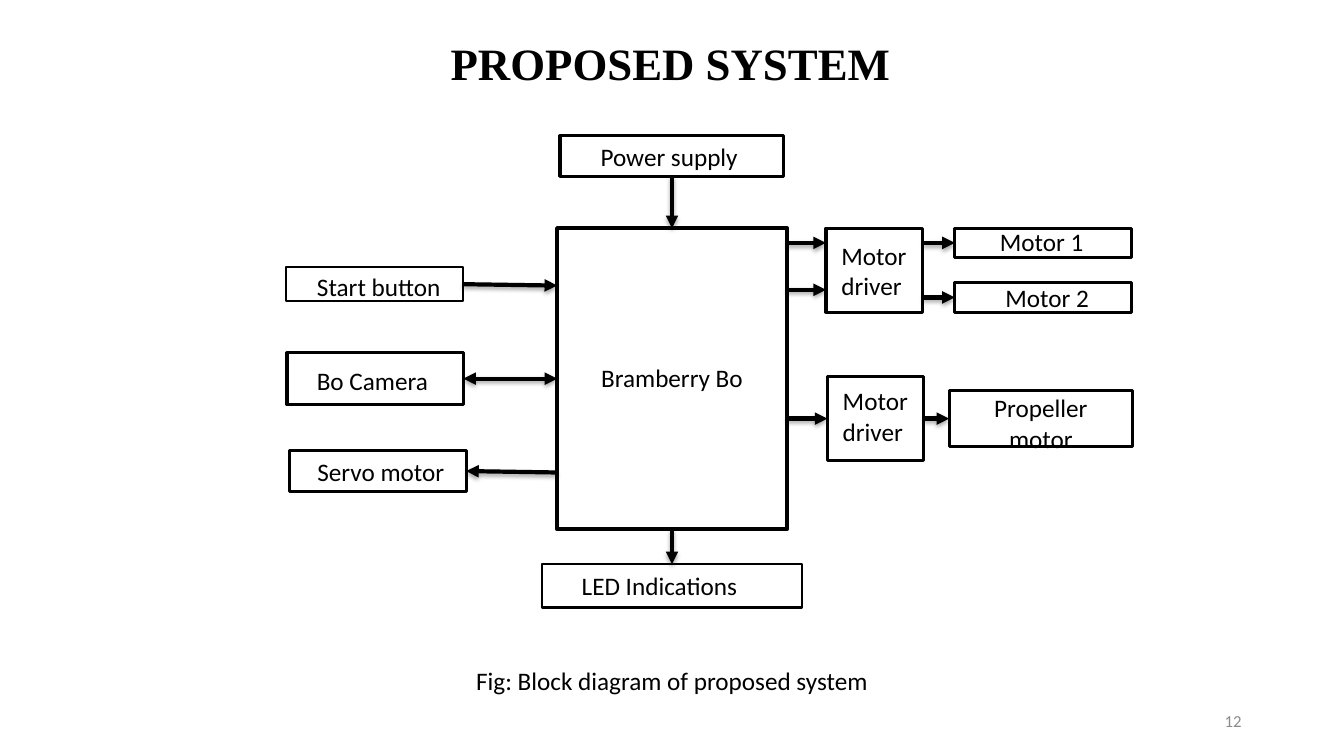
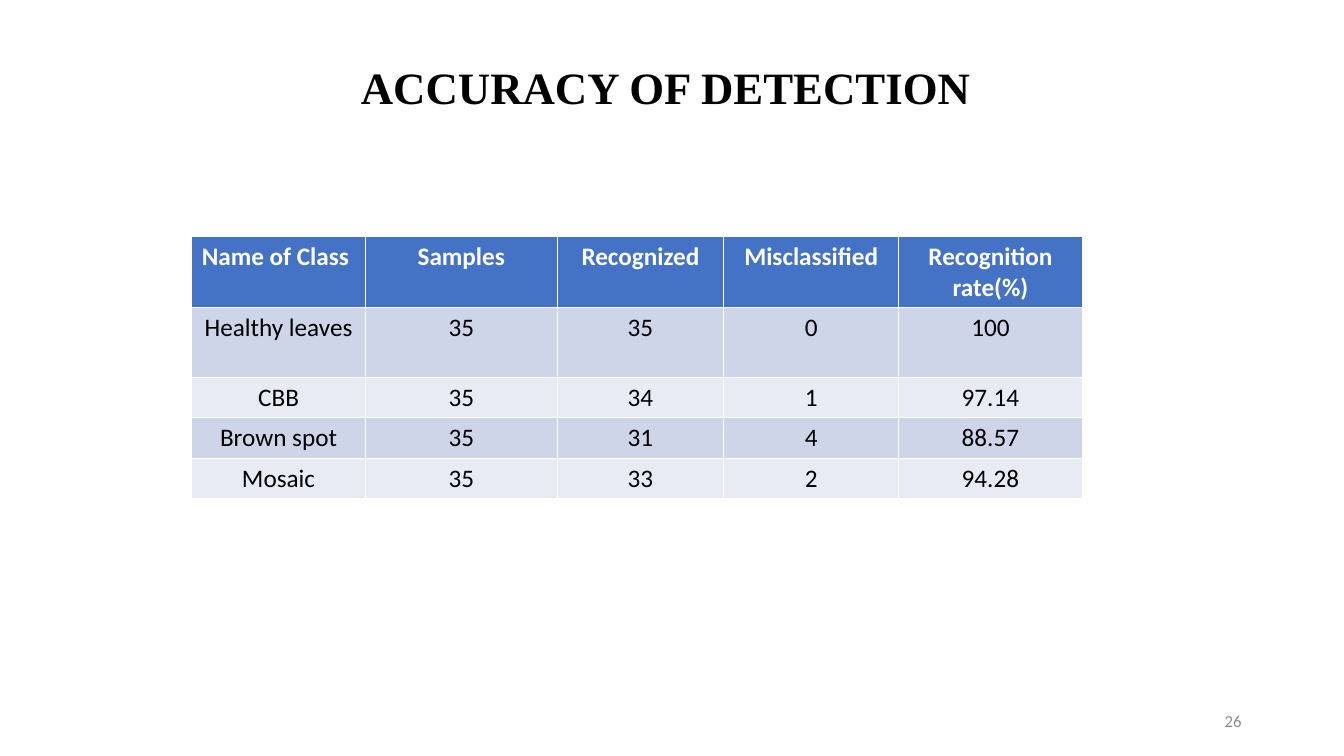
import pptx
import pptx.dml.color
import pptx.enum.shapes
import pptx.enum.text
import pptx.oxml
import pptx.oxml.ns
import pptx.util

Pt = pptx.util.Pt
ALIGN = pptx.enum.text.PP_ALIGN
MIDDLE = pptx.enum.text.MSO_ANCHOR.MIDDLE
TOP = pptx.enum.text.MSO_ANCHOR.TOP
COLORS = {"ink": "000000", "paper": "FFFFFF", "gray": "8B8B8B",
          "head": "4472C4", "odd": "CFD5E9", "even": "E8EBF4"}
SHADOW = (
    f'<a:effectLst {pptx.oxml.ns.nsdecls("a")}>'
    '<a:outerShdw blurRad="40000" dist="23000" dir="5400000" rotWithShape="0">'
    f'<a:srgbClr val="{COLORS["ink"]}"><a:alpha val="35000"/></a:srgbClr>'
    '</a:outerShdw></a:effectLst>')


def tint(name):
    return pptx.dml.color.RGBColor.from_string(COLORS[name])


def spot(box, side, y=None):
    """Point on a side (0 top, 1 left, 2 bottom, 3 right), mid-side unless y is given."""
    left, top, wide, high = box.left, box.top, box.width, box.height
    x = left + (wide // 2, 0, wide // 2, wide)[side]
    mid = top + (0, high // 2, high, high // 2)[side]
    return x, mid if y is None else Pt(y)


class Deck:
    def __init__(self):
        self.show = pptx.Presentation()
        self.show.slide_width, self.show.slide_height = Pt(960), Pt(540)
        self.slide = None

    def page(self, title, mid, top, number):
        """Start a slide with its title, centred on mid, and its page number."""
        self.slide = self.show.slides.add_slide(self.show.slide_layouts[6])
        self.text(title, mid - 450, top, 900, 45, size=32, bold=True,
                  font="Times New Roman")
        self.text(number, 678, 500, 216, 29, size=12, color="gray",
                  align=ALIGN.RIGHT, anchor=MIDDLE)

    def style(self, frame, text, size=18, color="ink", bold=False,
              font="Calibri", align=ALIGN.CENTER):
        frame.text = text
        for para in frame.paragraphs:
            para.alignment = align
            for run in para.runs:
                run.font.size, run.font.bold = Pt(size), bold
                run.font.name, run.font.color.rgb = font, tint(color)

    def text(self, text, left, top, wide, high, anchor=TOP, **look):
        box = self.slide.shapes.add_textbox(Pt(left), Pt(top), Pt(wide), Pt(high))
        frame = box.text_frame
        frame.word_wrap, frame.vertical_anchor = True, anchor
        self.style(frame, text, **look)

    def box(self, text, left, top, wide, high, line=2, shift=(0, 0), **look):
        """Outlined block; shift moves its text off the centre by insets."""
        box = self.slide.shapes.add_shape(
            pptx.enum.shapes.MSO_SHAPE.RECTANGLE, Pt(left), Pt(top), Pt(wide), Pt(high))
        box.shadow.inherit = False
        box.fill.solid()
        box.fill.fore_color.rgb = tint("paper")
        box.line.color.rgb, box.line.width = tint("ink"), Pt(line)
        frame, (x, y) = box.text_frame, shift
        frame.margin_left, frame.margin_right = Pt(max(2 * x, 0)), Pt(max(-2 * x, 0))
        frame.margin_top, frame.margin_bottom = Pt(max(2 * y, 0)), Pt(max(-2 * y, 0))
        frame.word_wrap, frame.vertical_anchor = True, MIDDLE
        self.style(frame, text, **look)
        return box

    def arrow(self, start, end, both=False):
        """Link two spots (box, side[, y]), joined where a spot is mid-side."""
        link = self.slide.shapes.add_connector(
            pptx.enum.shapes.MSO_CONNECTOR.STRAIGHT, *spot(*start), *spot(*end))
        if len(start) == 2:
            link.begin_connect(*start)
        if len(end) == 2:
            link.end_connect(*end)
        link.line.color.rgb, link.line.width = tint("ink"), Pt(3)
        line = link.line._get_or_add_ln()
        for tag in ("headEnd", "tailEnd") if both else ("tailEnd",):
            line.append(pptx.oxml.parse_xml(
                f'<a:{tag} {pptx.oxml.ns.nsdecls("a")} type="triangle"/>'))
        link._element.spPr.append(pptx.oxml.parse_xml(SHADOW))

    def table(self, left, top, cols, rows, data):
        grid = self.slide.shapes.add_table(
            len(rows), len(cols), Pt(left), Pt(top), Pt(sum(cols)), Pt(sum(rows))).table
        for col, wide in zip(grid.columns, cols):
            col.width = Pt(wide)
        for i, (row, high, words) in enumerate(zip(grid.rows, rows, data)):
            row.height = Pt(high)
            fill = "head" if i == 0 else "odd" if i % 2 else "even"
            for cell, word in zip(row.cells, words):
                cell.fill.solid()
                cell.fill.fore_color.rgb = tint(fill)
                self.style(cell.text_frame, word, bold=i == 0,
                           color="ink" if i else "paper")
        grid.cell(0, 0).text_frame.paragraphs[0].alignment = ALIGN.LEFT


def system(deck):
    deck.page("PROPOSED SYSTEM", 479, 22, "12")
    board = deck.box("Bramberry Bo", 398, 163, 164, 215, 3, (0, -1))
    power = deck.box("Power supply", 400, 97, 160, 29, 2.25, (-2, 0))
    led = deck.box("LED Indications", 387, 403, 186, 31, 1.5, (-9, 0))
    start = deck.box("Start button", 204, 191, 127, 24, 1.5, (3, 1.5))
    camera = deck.box("Bo Camera", 205, 252, 126, 37, 2.25, (-2, 1))
    servo = deck.box("Servo motor", 207, 322, 126, 29, shift=(2, 0))
    upper, lower = [
        deck.box("Motor\ndriver", left, top, 69, 60, 2.25, (5.5, y), align=ALIGN.LEFT)
        for left, top, y in ((590, 163, 0), (591, 269, -2))]
    first = deck.box("Motor 1", 682, 163, 126, 21, shift=(-1, -1))
    second = deck.box("Motor 2", 682, 202, 126, 21, shift=(3, 0))
    prop = deck.box("Propeller\nmotor", 678, 279, 131, 40, shift=(0, 3))

    deck.arrow((power, 2), (board, 0))
    deck.arrow((board, 2), (led, 0))
    deck.arrow((start, 3), (board, 1, 204))
    deck.arrow((camera, 3), (board, 1), both=True)
    deck.arrow((board, 1, 337.5), (servo, 3))
    for y in (173.5, 207):
        deck.arrow((board, 3, y), (upper, 1, y))
    deck.arrow((upper, 3, 173.5), (first, 1))
    deck.arrow((upper, 3, 212.5), (second, 1))
    deck.arrow((board, 3, 299), (lower, 1))
    deck.arrow((lower, 3), (prop, 1))
    deck.text("Fig: Block diagram of proposed system", 0, 472, 960, 29)


def results(deck):
    deck.page("ACCURACY OF DETECTION", 475.5, 39, "26")
    deck.table(137, 169, (124, 137, 119, 125, 131), (50, 50, 29, 29, 29), (
        ("Name of Class", "Samples", "Recognized", "Misclassified",
         "Recognition rate(%)"),
        ("Healthy leaves", "35", "35", "0", "100"),
        ("CBB", "35", "34", "1", "97.14"),
        ("Brown spot", "35", "31", "4", "88.57"),
        ("Mosaic", "35", "33", "2", "94.28")))


def main():
    deck = Deck()
    system(deck)
    results(deck)
    deck.show.save("out.pptx")


if __name__ == "__main__":
    main()
